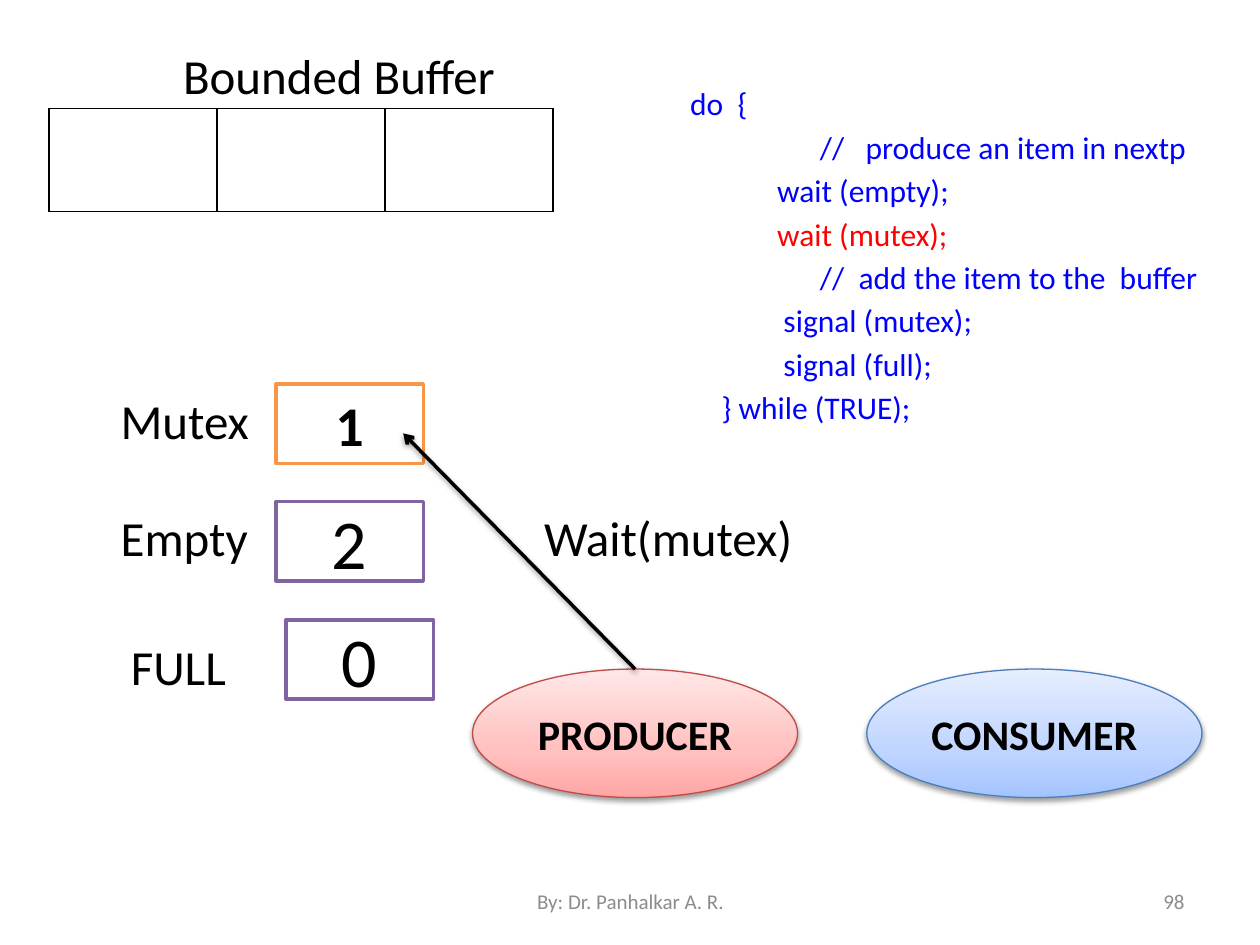
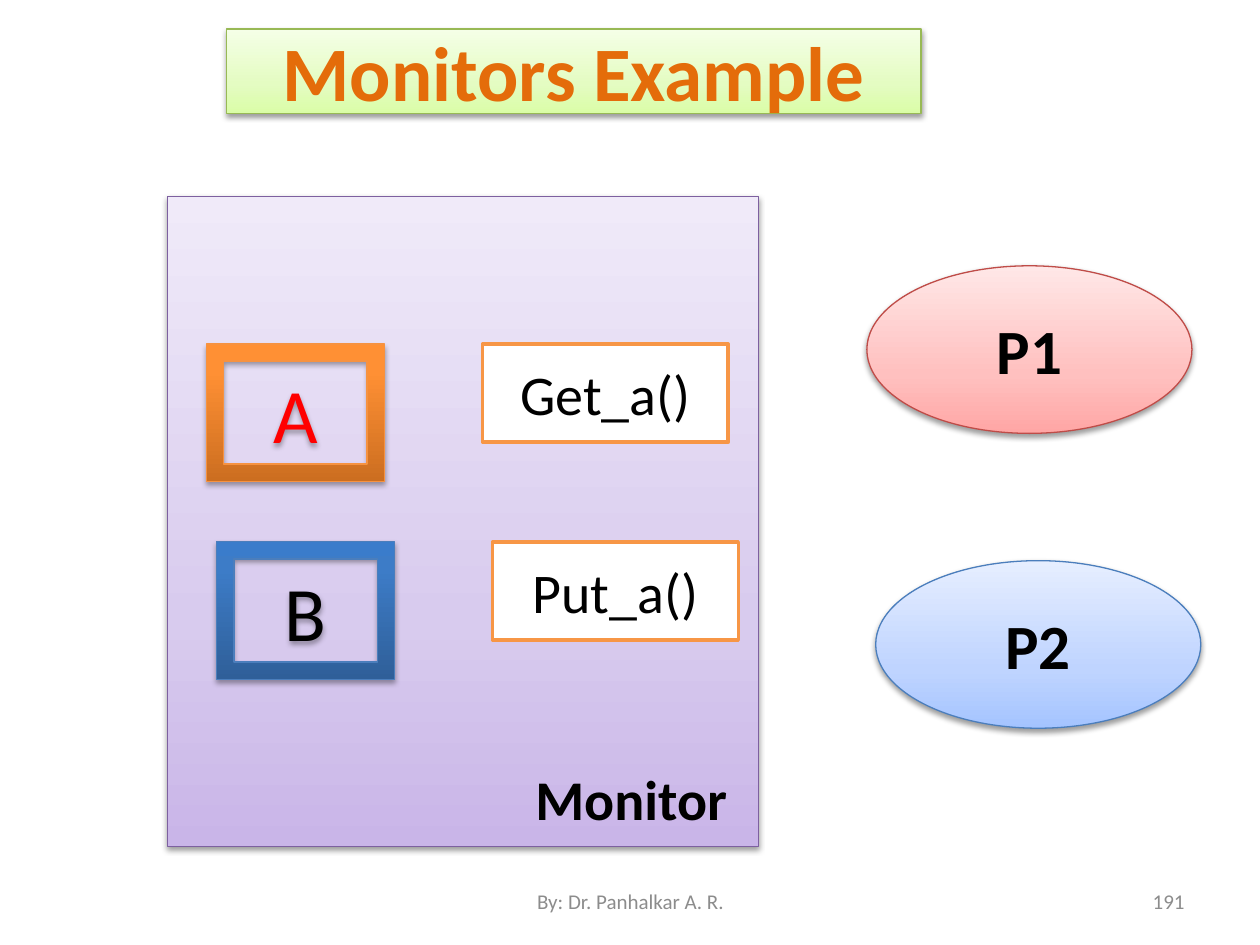
from lxml.etree import SubElement
from pptx import Presentation
from pptx.dml.color import RGBColor
from pptx.enum.shapes import MSO_CONNECTOR, MSO_SHAPE as Preset
from pptx.enum.text import MSO_ANCHOR as Anchor, PP_ALIGN as Align
from pptx.oxml import parse_xml
from pptx.oxml.ns import nsdecls, qn
from pptx.util import Inches, Pt

BLACK, WHITE, GREY = "000000", "FFFFFF", "8C8C8C"
BLUE, RED, TITLE_ORANGE = "0000FF", "FF0000", "E46C0A"
ORANGE_LINE, PURPLE_LINE = "F79646", "8064A2"

# Each tint: gradient stops from bottom to top, then the outline colour.
ROSE = ((0, "FFA6A5"), (35, "FFC0BF"), (100, "FFE7E7")), "BF4C48"
SKY = ((0, "A4C4FF"), (35, "BFD4FF"), (100, "E6EEFF")), "4B7EBC"
LIME = ((0, "DAFDA7"), (35, "E4FCC2"), (100, "F5FFE7")), "98B955"
LILAC = ((0, "C9B5E8"), (35, "D8CBEE"), (100, "F0EAF9")), "7D60A0"
ORANGE = ((0, "CC6E20"), (80, "FF9034"), (100, "FF9136")), "F69240"
NAVY = ((0, "2F5F99"), (80, "3D7CC7"), (100, "3A7CCB")), "4B7EBC"

PRODUCER_CODE = (
    (0.38, "do  {", BLUE),
    (1.41, "//   produce an item in nextp", BLUE),
    (1.07, "wait (empty);", BLUE),
    (1.07, "wait (mutex);", RED),
    (1.41, "//  add the item to the  buffer", BLUE),
    (1.12, "signal (mutex);", BLUE),
    (1.12, "signal (full);", BLUE),
    (0.63, "} while (TRUE);", BLUE),
)


def rgb(value):
    return RGBColor.from_string(value)


class Deck:
    """Holds the shared style and the slide being built."""

    font = "Calibri"
    author = "By: Dr. Panhalkar A. R."

    def __init__(self):
        self.prs = Presentation()
        self.prs.slide_width, self.prs.slide_height = Inches(10), Inches(7.5)
        self.slide = None

    def new_slide(self, number):
        self.slide = self.prs.slides.add_slide(self.prs.slide_layouts[6])
        self.label(7.17, 6.95, 2.33, 0.4, number, 12, GREY,
                   align=Align.RIGHT, anchor=Anchor.MIDDLE)
        self.label(3.42, 6.95, 3.17, 0.4, self.author, 12, GREY,
                   align=Align.CENTER, anchor=Anchor.MIDDLE)

    def style(self, paragraph, text, size, color, bold=False, align=Align.LEFT):
        paragraph.text = text
        paragraph.alignment = align
        font = paragraph.font
        font.name, font.size, font.bold = self.font, Pt(size), bold
        font.color.rgb = rgb(color)

    def frame(self, x, y, w, h, anchor=Anchor.TOP, wrap=True):
        box = self.slide.shapes.add_textbox(*map(Inches, (x, y, w, h)))
        box.text_frame.word_wrap = wrap
        box.text_frame.vertical_anchor = anchor
        return box.text_frame

    def label(self, x, y, w, h, text, size=28, color=BLACK, bold=False,
              align=Align.LEFT, anchor=Anchor.TOP, wrap=True):
        frame = self.frame(x, y, w, h, anchor, wrap)
        self.style(frame.paragraphs[0], text, size, color, bold, align)

    def code(self, x, y, w, h, lines, size=18):
        frame = self.frame(x, y, w, h)
        for row, (indent, text, color) in enumerate(lines):
            line = frame.add_paragraph() if row else frame.paragraphs[0]
            line._p.get_or_add_pPr().set("marL", str(Inches(indent)))
            if row:
                line.space_before = Pt(3.2)
            self.style(line, text, size, color)

    def shadow(self, properties, opacity=38, distance=1.6):
        effects = properties.find(qn("a:effectLst"))
        if effects is None:
            effects = SubElement(properties, qn("a:effectLst"))
        effects.append(parse_xml(
            f'<a:outerShdw {nsdecls("a")} blurRad="{Pt(3.1)}" dist="{Pt(distance)}"'
            f' dir="5400000" rotWithShape="0"><a:srgbClr val="{BLACK}">'
            f'<a:alpha val="{opacity * 1000}"/></a:srgbClr></a:outerShdw>'))

    def add_shape(self, preset, x, y, w, h, text, size, color, bold):
        shape = self.slide.shapes.add_shape(preset, *map(Inches, (x, y, w, h)))
        shape.shadow.inherit = False
        shape.text_frame.vertical_anchor = Anchor.MIDDLE
        if text:
            self.style(shape.text_frame.paragraphs[0], text, size, color,
                       bold, Align.CENTER)
        return shape

    def box(self, x, y, w, h, text, outline, size, bold=False):
        shape = self.add_shape(Preset.RECTANGLE, x, y, w, h, text, size, BLACK, bold)
        shape.fill.solid()
        shape.fill.fore_color.rgb = rgb(WHITE)
        shape.line.color.rgb = rgb(outline)
        shape.line.width = Pt(2)

    def tinted(self, preset, x, y, w, h, tint, text="", size=24, color=BLACK,
               bold=True, shadow=(38, 1.6)):
        stops, outline = tint
        shape = self.add_shape(preset, x, y, w, h, text, size, color, bold)
        stop_xml = "".join(
            f'<a:gs pos="{position * 1000}"><a:srgbClr val="{value}"/></a:gs>'
            for position, value in stops)
        shape._element.spPr.find(qn("a:prstGeom")).addnext(parse_xml(
            f'<a:gradFill {nsdecls("a")} rotWithShape="1"><a:gsLst>{stop_xml}</a:gsLst>'
            '<a:lin ang="16200000" scaled="0"/></a:gradFill>'))
        shape.line.color.rgb = rgb(outline)
        shape.line.width = Pt(0.75)
        self.shadow(shape._element.spPr, *shadow)

    def arrow(self, start, end):
        arrow = self.slide.shapes.add_connector(
            MSO_CONNECTOR.STRAIGHT, *map(Inches, start + end))
        arrow.line.color.rgb = rgb(BLACK)
        arrow.line.width = Pt(2)
        SubElement(arrow.line._get_or_add_ln(), qn("a:tailEnd"), type="arrow")
        self.shadow(arrow._element.spPr)

    def slots(self, x, y, w, h, count):
        table = self.slide.shapes.add_table(
            1, count, *map(Inches, (x, y, w, h))).table
        table.first_row = table.horz_banding = False
        for cell in table.iter_cells():
            cell.fill.background()
            properties = cell._tc.get_or_add_tcPr()
            for place, side in enumerate("LRTB"):
                properties.insert(place, parse_xml(
                    f'<a:ln{side} {nsdecls("a")} w="{Pt(1)}"><a:solidFill>'
                    f'<a:srgbClr val="{BLACK}"/></a:solidFill></a:ln{side}>'))


def bounded_buffer(deck):
    deck.new_slide("98")
    deck.slots(0.39, 0.86, 4, 0.82, 3)
    deck.label(0.62, 0.31, 4.14, 0.57, "Bounded Buffer", align=Align.CENTER)
    semaphores = (
        ("Mutex", 0.86, 3.05, "1", 2.19, 3.05, ORANGE_LINE, 32, True),
        ("Empty", 0.86, 3.98, "2", 2.19, 3.98, PURPLE_LINE, 40, False),
        ("FULL", 0.94, 5, "0", 2.27, 4.92, PURPLE_LINE, 40, False),
    )
    for name, name_x, name_y, count, x, y, outline, size, bold in semaphores:
        deck.label(name_x, name_y, 1.33, 0.57, name)
        deck.box(x, y, 1.17, 0.63, count, outline, size, bold)
    deck.tinted(Preset.OVAL, 3.75, 5.31, 2.58, 1.02, ROSE, "PRODUCER")
    deck.tinted(Preset.OVAL, 6.88, 5.31, 2.66, 1.02, SKY, "CONSUMER")
    deck.arrow((5.04, 5.31), (3.2, 3.44))
    deck.label(4.22, 3.98, 2.42, 0.57, "Wait(mutex)")
    deck.code(5, 0.62, 4.77, 3.05, PRODUCER_CODE)


def monitors_example(deck):
    deck.new_slide("191")
    deck.tinted(Preset.RECTANGLE, 1.8, 0.23, 5.51, 0.67, LIME,
                "Monitors Example", 44, TITLE_ORANGE)
    deck.tinted(Preset.RECTANGLE, 1.33, 1.56, 4.69, 5.16, LILAC)
    members = (
        (2.73, 1.64, "A", ORANGE, RED, 3.83, "Get_a()"),
        (4.3, 1.72, "B", NAVY, BLACK, 3.91, "Put_a()"),
    )
    for y, variable_x, variable, tint, color, method_x, method in members:
        deck.box(method_x, y, 1.95, 0.78, method, ORANGE_LINE, 32)
        deck.tinted(Preset.FRAME, variable_x, y, 1.41, 1.09, tint, variable,
                    44, color, bold=False, shadow=(35, 1.8))
    for x, y, process, tint in ((6.88, 2.11, "P1", ROSE), (6.95, 4.45, "P2", SKY)):
        deck.tinted(Preset.OVAL, x, y, 2.58, 1.33, tint, process, 36)
    deck.label(4.14, 6.02, 1.74, 0.64, "Monitor", 32, bold=True,
               align=Align.CENTER, wrap=False)


def main():
    deck = Deck()
    bounded_buffer(deck)
    monitors_example(deck)
    deck.prs.save("out.pptx")


if __name__ == "__main__":
    main()
